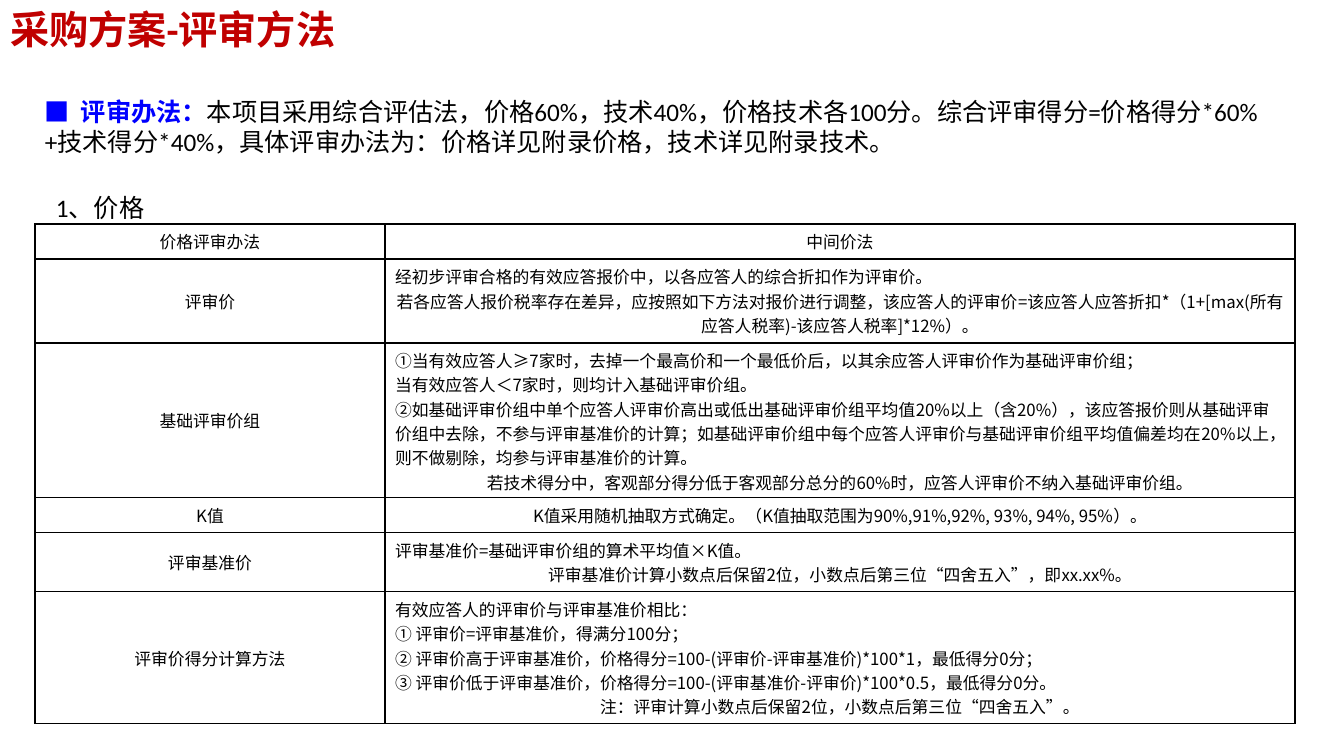
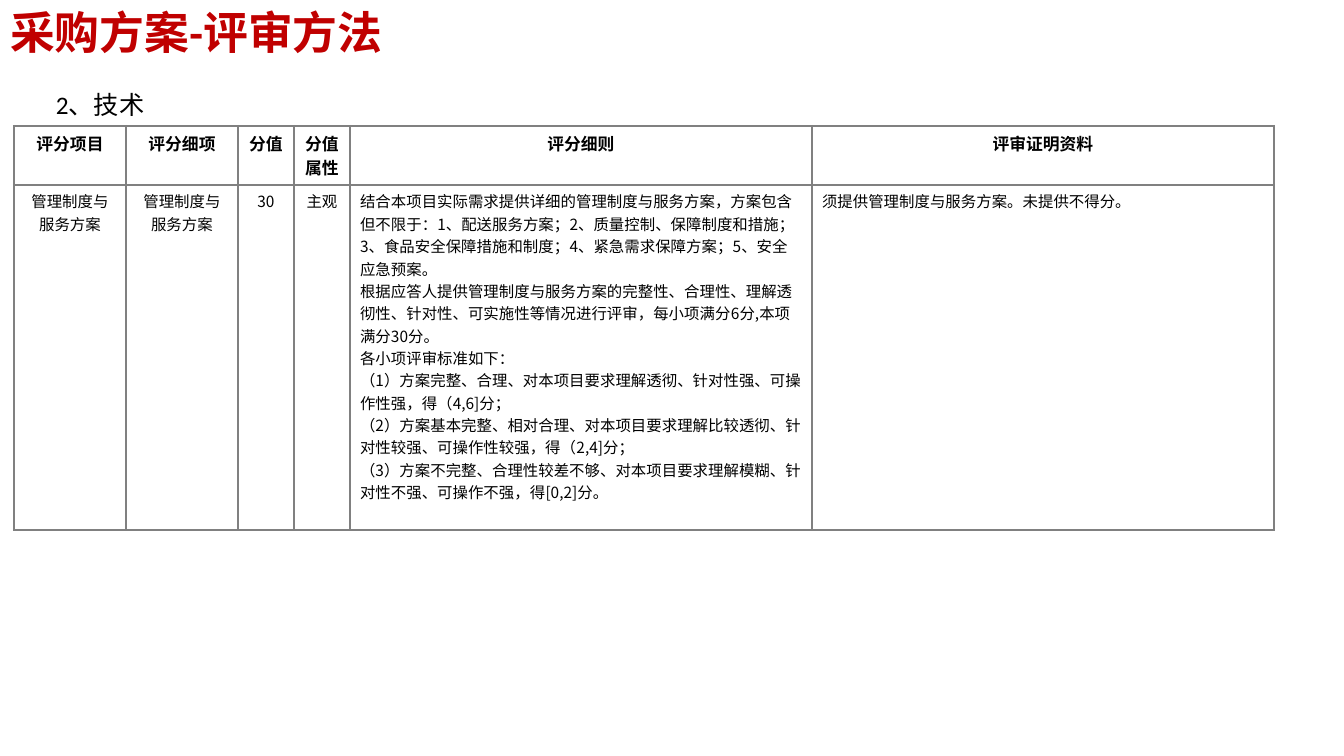
from lxml import etree
from pptx import Presentation
from pptx.dml.color import RGBColor
from pptx.enum.text import MSO_ANCHOR, MSO_AUTO_SIZE, PP_ALIGN
from pptx.oxml.ns import qn
from pptx.util import Emu, Pt

PX = 914400 / 100.8
PAGE_WIDTH, PAGE_HEIGHT = 1344, 756
CONTENT_WIDTH = 1260
TITLE_ONLY = 5

LEFT, CENTER = PP_ALIGN.LEFT, PP_ALIGN.CENTER
TOP, MIDDLE = MSO_ANCHOR.TOP, MSO_ANCHOR.MIDDLE
NO_FIT = MSO_AUTO_SIZE.NONE

RED = RGBColor(0xC0, 0x00, 0x00)
BLUE = RGBColor(0x00, 0x00, 0xFF)
BLACK = RGBColor(0x00, 0x00, 0x00)
GRAY = RGBColor(0x80, 0x80, 0x80)

TEXT_FONT = "Calibri"
TABLE_FONT = "Noto Sans CJK SC"

TITLE = "采购方案-评审方法"

PRICE_ROWS = [
    ["价格评审办法", "中间价法"],
    ["评审价",
     "经初步评审合格的有效应答报价中，以各应答人的综合折扣作为评审价。\n"
     "若各应答人报价税率存在差异，应按照如下方法对报价进行调整，该应答人的评审价=该应答人应答折扣*"
     "（1+[max(所有应答人税率)-该应答人税率]*12%）。"],
    ["基础评审价组",
     "①当有效应答人≥7家时，去掉一个最高价和一个最低价后，以其余应答人评审价作为基础评审价组；\n"
     "当有效应答人＜7家时，则均计入基础评审价组。\n"
     "②如基础评审价组中单个应答人评审价高出或低出基础评审价组平均值20%以上（含20%），"
     "该应答报价则从基础评审价组中去除，不参与评审基准价的计算；"
     "如基础评审价组中每个应答人评审价与基础评审价组平均值偏差均在20%以上，"
     "则不做剔除，均参与评审基准价的计算。\n"
     "若技术得分中，客观部分得分低于客观部分总分的60%时，应答人评审价不纳入基础评审价组。"],
    ["K值", "K值采用随机抽取方式确定。（K值抽取范围为90%,91%,92%, 93%, 94%, 95%）。"],
    ["评审基准价",
     "评审基准价=基础评审价组的算术平均值×K值。\n"
     "评审基准价计算小数点后保留2位，小数点后第三位“四舍五入”，即xx.xx%。"],
    ["评审价得分计算方法",
     "有效应答人的评审价与评审基准价相比：\n"
     "① 评审价=评审基准价，得满分100分；\n"
     "② 评审价高于评审基准价，价格得分=100-(评审价-评审基准价)*100*1，最低得分0分；\n"
     "③ 评审价低于评审基准价，价格得分=100-(评审基准价-评审价)*100*0.5，最低得分0分。\n"
     "注：评审计算小数点后保留2位，小数点后第三位“四舍五入”。"],
]

TECHNICAL_ROWS = [
    ["评分项目", "评分细项", "分值", "分值属性", "评分细则", "评审证明资料"],
    ["管理制度与服务方案", "管理制度与服务方案", "30", "主观",
     "结合本项目实际需求提供详细的管理制度与服务方案，方案包含但不限于：1、配送服务方案；"
     "2、质量控制、保障制度和措施；3、食品安全保障措施和制度；4、紧急需求保障方案；5、安全应急预案。\n"
     "根据应答人提供管理制度与服务方案的完整性、合理性、理解透彻性、针对性、可实施性等情况进行评审，"
     "每小项满分6分,本项满分30分。\n"
     "各小项评审标准如下：\n"
     "（1）方案完整、合理、对本项目要求理解透彻、针对性强、可操作性强，得（4,6]分；\n"
     "（2）方案基本完整、相对合理、对本项目要求理解比较透彻、针对性较强、可操作性较强，得（2,4]分；\n"
     "（3）方案不完整、合理性较差不够、对本项目要求理解模糊、针对性不强、可操作不强，得[0,2]分。",
     "须提供管理制度与服务方案。未提供不得分。"],
]


def px(length):
    return Emu(round(length * PX))


def add_span(para, text, size, font=TEXT_FONT, color=BLACK, bold=False):
    span = para.add_run()
    span.text = text
    span.font.size = Pt(size)
    span.font.bold = bold
    span.font.color.rgb = color
    span.font.name = font
    etree.SubElement(span.font._element, qn("a:ea"), typeface=TABLE_FONT)


def add_page(deck, title_size):
    page = deck.slides.add_slide(deck.slide_layouts[TITLE_ONLY])
    title = page.shapes.title
    title.left, title.top = px(0), px(0)
    title.width, title.height = px(CONTENT_WIDTH), px(70)
    frame = title.text_frame
    frame.auto_size = NO_FIT
    frame.vertical_anchor = TOP
    para = frame.paragraphs[0]
    para.alignment = LEFT
    add_span(para, TITLE, title_size, color=RED, bold=True)
    return page


def add_text_box(page, left, top, width, height):
    """Add a wrapping text box and return its first paragraph."""
    frame = page.shapes.add_textbox(px(left), px(top), px(width), px(height)).text_frame
    frame.word_wrap = True
    return frame.paragraphs[0]


def add_heading(page, top, text):
    add_span(add_text_box(page, 46, top, 1249, 40), text, 18)


def add_method_summary(page, left, top):
    para = add_text_box(page, left, top, CONTENT_WIDTH, 72)
    tabs = etree.SubElement(para._p.get_or_add_pPr(), qn("a:tabLst"))
    etree.SubElement(tabs, qn("a:tab"), pos=str(px(36)), algn="l")
    add_span(para, "■\t评审办法：", 18, color=BLUE, bold=True)
    add_span(para, "本项目采用综合评估法，价格60%，技术40%，价格技术各100分。"
                   "综合评审得分=价格得分*60%+技术得分*40%，"
                   "具体评审办法为：价格详见附录价格，技术详见附录技术。", 18)


def set_borders(cell, color, widths):
    """Draw the left, right, top and bottom borders, with widths in points."""
    properties = cell._tc.get_or_add_tcPr()
    for side, width in zip("LRTB", widths):
        line = etree.SubElement(properties, qn("a:ln" + side), w=str(Pt(width)))
        fill = etree.SubElement(line, qn("a:solidFill"))
        etree.SubElement(fill, qn("a:srgbClr"), val=str(color))


def fill_cell(cell, text, size, bold, last_alignment):
    """Write one paragraph a line, all left-aligned but the last."""
    lines = text.split("\n")
    frame = cell.text_frame
    for index, line in enumerate(lines):
        para = frame.add_paragraph() if index else frame.paragraphs[0]
        para.alignment = last_alignment if index == len(lines) - 1 else LEFT
        add_span(para, line, size, TABLE_FONT, bold=bold)


def add_grid(page, left, top, widths, heights, rows, border_color, border_widths,
             anchor=TOP, body_size=12, header_bold=False, left_columns=()):
    table = page.shapes.add_table(len(heights), len(widths), px(left), px(top),
                                  px(sum(widths)), px(sum(heights))).table
    table.first_row = table.horz_banding = False
    for column, width in zip(table.columns, widths):
        column.width = px(width)
    for row_index, (height, texts) in enumerate(zip(heights, rows)):
        table.rows[row_index].height = px(height)
        header = row_index == 0
        for column_index, text in enumerate(texts):
            cell = table.cell(row_index, column_index)
            cell.vertical_anchor = anchor
            set_borders(cell, border_color, border_widths)
            cell.fill.background()
            flush_left = not header and column_index in left_columns
            fill_cell(cell, text, 12 if header else body_size,
                      header and header_bold, LEFT if flush_left else CENTER)


def add_price_page(deck):
    page = add_page(deck, 28)
    add_method_summary(page, 35, 91)
    add_heading(page, 187, "1、价格")
    add_grid(page, 35, 224, [350, 910], [35, 84, 155, 35, 59, 132], PRICE_ROWS,
             BLACK, (1, 1, 1, 1), anchor=MIDDLE)


def add_technical_page(deck):
    page = add_page(deck, 32)
    add_heading(page, 84, "2、技术")
    add_grid(page, 14, 126, [112, 112, 56, 56, 462, 462], [59, 345], TECHNICAL_ROWS,
             GRAY, (2, 2, 2, 1), body_size=11, header_bold=True, left_columns=(4, 5))


def main():
    deck = Presentation()
    deck.slide_width, deck.slide_height = px(PAGE_WIDTH), px(PAGE_HEIGHT)
    add_price_page(deck)
    add_technical_page(deck)
    deck.save("out.pptx")


if __name__ == "__main__":
    main()
